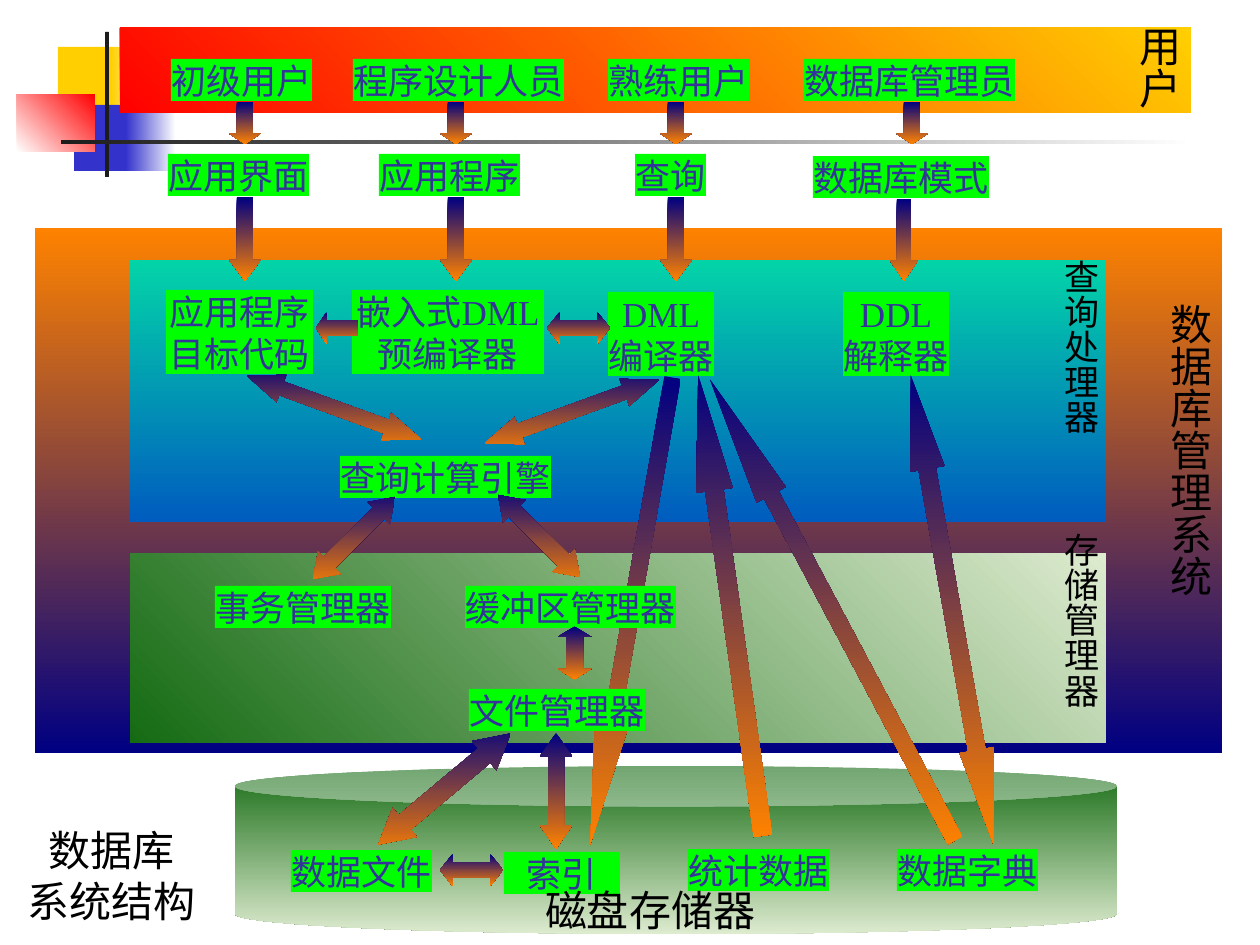
from pptx import Presentation, util as u
from pptx.dml.color import RGBColor
from pptx.enum import shapes, text

PX = 914400 / 126
KIND = shapes.MSO_SHAPE

THEME = {
    "gold": "FFCF01", "blue": "3333CC", "red": "FF0000", "white": "FFFFFF",
    "black": "1C1C1C", "navy": "000082", "orange": "FF8200", "teal": "03D4A8",
    "sea": "005CBF", "green": "156B13", "pale": "DDEBCF", "lime": "00FF00",
    "ink": "333399", "label": "000000",
    "small": 20, "big": 24, "serif": "Times New Roman", "sans": "Lato",
}

PANELS = [
    ((58, 47, 60, 66), "gold"),
    ((111, 47, 45, 66), ("gold", "white", 0)),
    ((74, 105, 58, 66), "blue"),
    ((126, 105, 50, 66), ("blue", "white", 0)),
    ((17, 94, 78, 58), ("white", "red", 315)),
    ((105, 32, 4, 145), "black"),
    ((61, 140, 1134, 4), ("black", "white", 0)),
    ((35, 228, 1187, 525), ("orange", "navy", 90)),
    ((130, 260, 976, 262), ("teal", "sea", 90)),
    ((130, 554, 976, 189), ("green", "pale", 315)),
    ((120, 28, 1071, 85), ("red", "gold", 315)),
]
DISK = (235, 766, 882, 168)

CHAR, LINE = 35, 42
CHIPS = [
    (59, [(171, "初级用户"), (353, "程序设计人员"), (608, "熟练用户"), (804, "数据库管理员")]),
    (154, [(168, "应用界面"), (379, "应用程序"), (635, "查询")]),
    (156, [(813, "数据库模式")]),
    (290, [(166, "应用程序\n目标代码", 147), (352, "嵌入式DML\n预编译器", 192)]),
    (292, [(608, "DML\n编译器"), (843, "DDL\n解释器")]),
    (456, [(340, "查询计算引擎")]),
    (586, [(215, "事务管理器"), (465, "缓冲区管理器")]),
    (689, [(469, "文件管理器")]),
    (850, [(291, "数据文件")]),
    (849, [(688, "统计数据"), (897, "数据字典")]),
    (852, [(504, "索引", 116)]),
]

COLS = [229, 440, 660]
UNDER = (KIND.DOWN_ARROW, (615, 374, 33, 474), 10)
ARROWS = [(KIND.DOWN_ARROW, (x, 102, 32, 42), 0) for x in COLS + [896]]
ARROWS += [(KIND.DOWN_ARROW, (x, 197, 32, 84), 0) for x in COLS]
ARROWS += [
    (KIND.DOWN_ARROW, (890, 199, 28, 82), 0),
    (KIND.LEFT_RIGHT_ARROW, (547, 312, 63, 32), 0),
    (KIND.LEFT_ARROW, (316, 312, 42, 32), 0),
    (KIND.LEFT_RIGHT_ARROW, (241, 393, 186, 29), 20),
    (KIND.LEFT_RIGHT_ARROW, (479, 397, 186, 29), 340),
    (KIND.LEFT_RIGHT_ARROW, (296, 522, 116, 32), 315),
    (KIND.DOWN_ARROW, (712, 373, 37, 465), 172),
    (KIND.LEFT_RIGHT_ARROW, (481, 520, 116, 32), 45),
    (KIND.LEFT_RIGHT_ARROW, (548, 636, 53, 34), 90),
    (KIND.DOWN_ARROW, (816, 349, 33, 522), 152),
    (KIND.LEFT_RIGHT_ARROW, (714, 592, 476, 35), 80),
    (KIND.LEFT_RIGHT_ARROW, (498, 775, 116, 32), 90),
    (KIND.LEFT_RIGHT_ARROW, (440, 854, 63, 32), 0),
    (KIND.LEFT_RIGHT_ARROW, (358, 770, 173, 38), 320),
]

LABELS = [
    ("数据库管理系统", (1145, 291, 76, 325), "big", 15),
    ("查询处理器", (1041, 247, 67, 262), "small", 12.5),
    ("存储管理器", (1041, 520, 67, 262), "small", 12.5),
    ("用户", (1114, 13, 76, 116), "big", 15),
    ("磁盘存储器", (382, 879, 536, 63), "big", 0),
    ("数据库\n系统结构", (13, 819, 197, 113), "big", 0),
]


def emu(box):
    return [round(v * PX) for v in box]


def tint(name):
    return RGBColor.from_string(THEME[name])


def draw(slide, kind, box, paint):
    item = slide.shapes.add_shape(kind, *emu(box))
    item.shadow.inherit = False
    item.line.fill.background()
    if isinstance(paint, str):
        item.fill.solid()
        item.fill.fore_color.rgb = tint(paint)
        return item
    item.fill.gradient()
    item.fill.gradient_angle = (360 - paint[2]) % 360
    for stop, name in zip(item.fill.gradient_stops, paint):
        stop.color.rgb = tint(name)
    item._element.spPr.find("{*}gradFill").set("rotWithShape", "0")
    return item


def write(item, words, size, face, ink, pad, gap=0):
    frame = item.text_frame
    frame.text = words
    form = {"word_wrap": True, "auto_size": text.MSO_AUTO_SIZE.NONE}
    sides = ("left", "top", "right", "bottom")
    form.update(zip([f"margin_{s}" for s in sides], emu(pad)))
    for key, val in form.items():
        setattr(frame, key, val)
    for para in frame.paragraphs:
        para.alignment = text.PP_ALIGN.CENTER
        para.space_before = u.Pt(gap)
        font = para.runs[0].font
        font.size, font.name = u.Pt(THEME[size]), THEME[face]
        font.color.rgb = tint(ink)


def chip(slide, top, left, words, width=None):
    lines = words.split("\n")
    wide = width or CHAR * max(map(len, lines)) + 1
    item = draw(slide, KIND.RECTANGLE, (left, top, wide, LINE * len(lines)), "lime")
    item.text_frame.vertical_anchor = text.MSO_ANCHOR.MIDDLE
    write(item, words, "small", "serif", "ink", (0, 0, 0, 0))
    item.text_frame.word_wrap = "DML" not in words


def arrow(slide, kind, box, turn):
    item = draw(slide, kind, box, ("navy", "orange", 90))
    share = 0.2 if kind == KIND.LEFT_RIGHT_ARROW else 0.25
    item.adjustments[0] = 0.5
    item.adjustments[1] = share * max(box[2:]) / min(box[2:])
    item.rotation = turn


def label(slide, words, box, size, gap):
    item = slide.shapes.add_textbox(*emu(box))
    pad = (6, 13, 6, 13) if gap else (13, 6, 13, 6)
    write(item, words, size, "sans", "label", pad, gap)
    if gap:
        item.text_frame._txBody.bodyPr.set("vert", "eaVert")


def main():
    deck = Presentation()
    deck.slide_width, deck.slide_height = u.Inches(10), u.Inches(7.5)
    slide = deck.slides.add_slide(deck.slide_layouts[6])
    for box, paint in PANELS:
        draw(slide, KIND.RECTANGLE, box, paint)
    disk = draw(slide, KIND.CAN, DISK, ("green", "pale", 90))
    disk.adjustments[0] = 0.24
    arrow(slide, *UNDER)
    for top, row in CHIPS:
        for cell in row:
            chip(slide, top, *cell)
    for row in ARROWS:
        arrow(slide, *row)
    for row in LABELS:
        label(slide, *row)
    deck.save("out.pptx")


if __name__ == "__main__":
    main()
